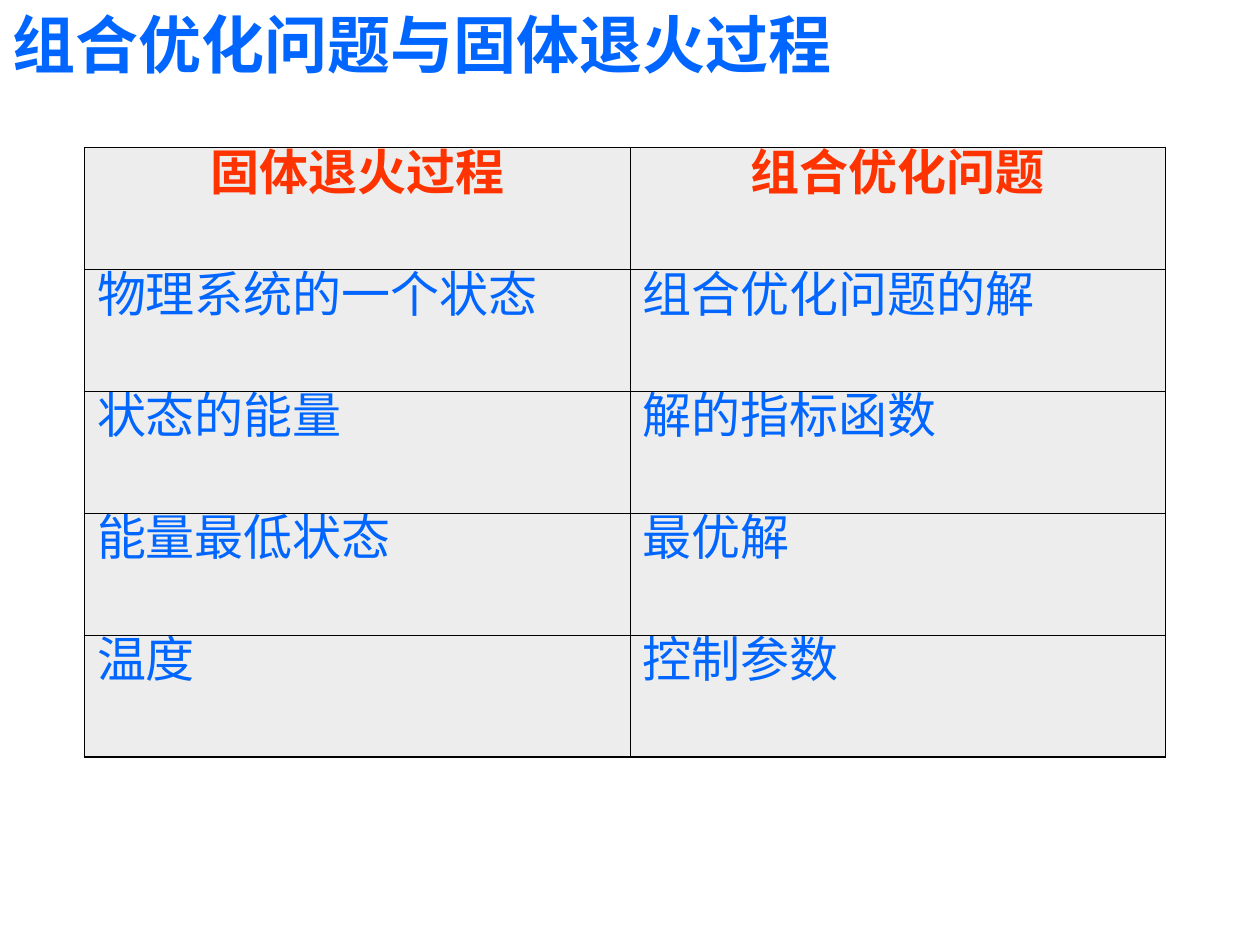
from lxml.etree import SubElement
from pptx import Presentation
from pptx.dml.color import RGBColor
from pptx.enum.text import MSO_ANCHOR, PP_ALIGN
from pptx.oxml import parse_xml
from pptx.oxml.ns import nsdecls, qn
from pptx.util import Inches, Pt

THEME = {
    "face": "DejaVu Sans",
    "blue": RGBColor(0x00, 0x66, 0xFF),
    "red": RGBColor(0xFF, 0x33, 0x00),
    "gray": RGBColor(0xDD, 0xDD, 0xDD),
    "rule": "000000",
    "alpha": 50,
    "title": Pt(36),
    "body": Pt(28),
    "thin": Pt(0.45),
    "thick": Pt(1.08),
}
WIDE, HIGH = Inches(10), Inches(7.5)
TITLE = "组合优化问题与固体退火过程"
ROWS = [
    ("固体退火过程", "组合优化问题"),
    ("物理系统的一个状态", "组合优化问题的解"),
    ("状态的能量", "解的指标函数"),
    ("能量最低状态", "最优解"),
    ("温度", "控制参数"),
]
COLS = (0.433, 0.425)  # shares of the slide's width


def share(x, y, w, h):
    """Turn shares of the slide's size into a box in EMU."""
    return [round(v * size) for v, size in zip((x, y, w, h), (WIDE, HIGH) * 2)]


def apply(target, values):
    for name, value in values.items():
        setattr(target, name, value)


def write(para, text, size, color, bold):
    run = para.add_run()
    run.text = text
    apply(run.font, {"name": THEME["face"], "size": size, "bold": bold})
    run.font.color.rgb = color
    SubElement(run.font._element, qn("a:ea"), typeface=THEME["face"])


def add_title(slide):
    frame = slide.shapes.add_textbox(*share(0, 0, 0.89, 0.092)).text_frame
    apply(frame, {"word_wrap": True, "vertical_anchor": MSO_ANCHOR.BOTTOM})
    write(frame.paragraphs[0], TITLE, THEME["title"], THEME["blue"], True)


def tint(cell):
    cell.fill.solid()
    cell.fill.fore_color.rgb = THEME["gray"]
    color = cell._tc.tcPr.find(".//" + qn("a:srgbClr"))
    SubElement(color, qn("a:alpha"), val=str(THEME["alpha"] * 1000))


def rule(cell, outer):
    """Draw the four borders, thick on the sides that are outer."""
    for pos, side in enumerate("LRTB"):
        width = THEME["thick" if side in outer else "thin"]
        cell._tc.tcPr.insert(pos, parse_xml(
            f'<a:ln{side} {nsdecls("a")} w="{int(width)}"><a:solidFill>'
            f'<a:srgbClr val="{THEME["rule"]}"/></a:solidFill></a:ln{side}>'))


def edges(row, col):
    """Name the sides of a cell that lie on the table's outline."""
    tests = {"L": col == 0, "R": col == len(COLS) - 1,
             "T": row == 0, "B": row == len(ROWS) - 1}
    return [side for side, hit in tests.items() if hit]


def add_grid(slide):
    box = share(0.067, 0.156, sum(COLS), 0.645)
    table = slide.shapes.add_table(len(ROWS), len(COLS), *box).table
    apply(table, {"first_row": False, "horz_banding": False})
    for col, part in zip(table.columns, COLS):
        col.width = round(part * WIDE)
    for r, texts in enumerate(ROWS):
        head = r == 0
        for c, text in enumerate(texts):
            cell = table.cell(r, c)
            para = cell.text_frame.paragraphs[0]
            apply(para, {"line_spacing": 0.8,
                         "alignment": PP_ALIGN.CENTER if head else PP_ALIGN.LEFT})
            write(para, text, THEME["body"], THEME["red" if head else "blue"], head)
            tint(cell)
            rule(cell, edges(r, c))


def main():
    deck = Presentation()
    apply(deck, {"slide_width": WIDE, "slide_height": HIGH})
    slide = deck.slides.add_slide(deck.slide_layouts[6])
    add_title(slide)
    add_grid(slide)
    deck.save("out.pptx")


if __name__ == "__main__":
    main()
